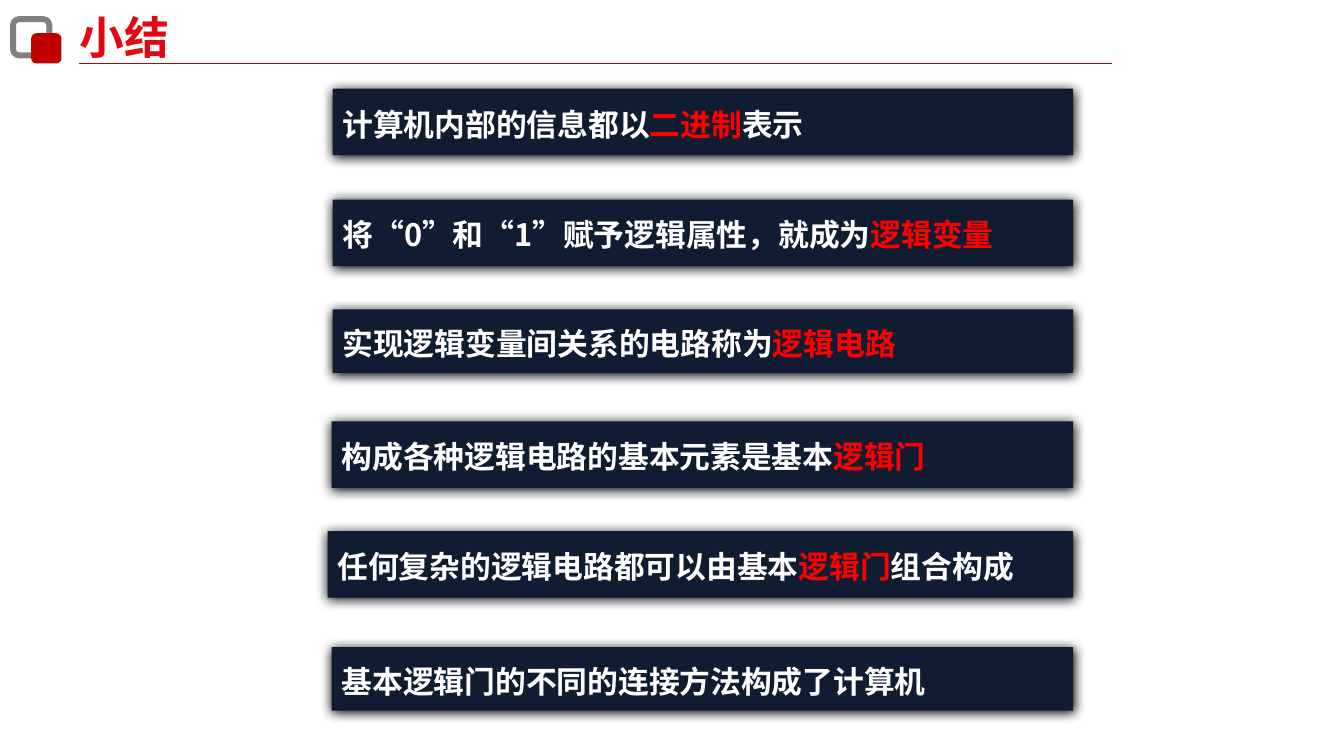
"""Build the summary slide on digital logic."""
import dataclasses

import lxml.etree
import pptx
import pptx.dml.color
import pptx.enum.lang
import pptx.enum.shapes
import pptx.enum.text
import pptx.oxml.ns
import pptx.util

COLUMNS, ROWS = 40, 30
COLUMN, ROW = pptx.util.Inches(13.333) / COLUMNS, pptx.util.Inches(7.5) / ROWS
BAR_RIGHT = 31.94


@dataclasses.dataclass(frozen=True)
class Theme:
    """Colours, typeface and sizes of the slide."""
    font: str = "Noto Sans CJK SC"
    title_size: float = 32
    bar_size: float = 22
    title_top: str = "E30613"
    title_bottom: str = "81040B"
    accent: str = "C00000"
    outline: str = "808080"
    bar: str = "101C32"
    text: str = "FFFFFF"
    keyword: str = "FF0000"
    shadow: str = "000000"


THEME = Theme()

BARS = [
    (9.9, 3.52, 2.64, [("计算机内部的信息都以", THEME.text), ("二进制", THEME.keyword), ("表示", THEME.text)]),
    (9.9, 7.92, 2.64, [("将“0”和“1”赋予逻辑属性，就成为", THEME.text), ("逻辑变量", THEME.keyword)]),
    (9.9, 12.28, 2.52, [("实现逻辑变量间关系的电路称为", THEME.text), ("逻辑电路", THEME.keyword)]),
    (9.87, 16.72, 2.64, [("构成各种逻辑电路的基本元素是基本", THEME.text), ("逻辑门", THEME.keyword)]),
    (9.75, 21.08, 2.64, [("任何复杂的逻辑电路都可以由基本", THEME.text), ("逻辑门", THEME.keyword), ("组合构成", THEME.text)]),
    (9.87, 25.68, 2.52, [("基本逻辑门的不同的连接方法构成了计算机", THEME.text)]),
]


def rgb(value):
    """Return the colour for a hexadecimal value."""
    return pptx.dml.color.RGBColor.from_string(value)


def cells(left, top, width, height):
    """Convert grid columns and rows to slide lengths."""
    return round(left * COLUMN), round(top * ROW), round(width * COLUMN), round(height * ROW)


def add_effects(shape, blur=None, distance=None):
    """Give a shape an effect list, with a downward shadow if blur is set."""
    effects = lxml.etree.SubElement(shape._element.spPr, pptx.oxml.ns.qn("a:effectLst"))
    if blur is not None:
        shadow = lxml.etree.SubElement(
            effects, pptx.oxml.ns.qn("a:outerShdw"), blurRad=str(pptx.util.Pt(blur)),
            dist=str(pptx.util.Pt(distance)), dir=str(90 * 60000), algn="ctr", rotWithShape="0")
        lxml.etree.SubElement(shadow, pptx.oxml.ns.qn("a:srgbClr"), val=THEME.shadow)


def add_span(para, text, size, color=None, gradient=None):
    """Add bold text with a plain colour or a vertical gradient."""
    span = para.add_run()
    span.text = text
    font = span.font
    font.size, font.bold, font.name = pptx.util.Pt(size), True, THEME.font
    font.language_id = pptx.enum.lang.MSO_LANGUAGE_ID.SIMPLIFIED_CHINESE
    if gradient:
        font.fill.gradient()
        font.fill.gradient_angle = 270
        for stop, value in zip(font.fill.gradient_stops, gradient):
            stop.color.rgb = rgb(value)
    else:
        font.color.rgb = rgb(color)
    lxml.etree.SubElement(font._element, pptx.oxml.ns.qn("a:ea"), typeface=THEME.font)


def add_block(shapes, kind, place, fill=None, line=None, weight=0):
    """Add a preset shape with the given fill and line."""
    block = shapes.add_shape(kind, *cells(*place))
    if fill:
        block.fill.solid()
        block.fill.fore_color.rgb = rgb(fill)
    else:
        block.fill.background()
    if line:
        block.line.color.rgb = rgb(line)
        block.line.width = pptx.util.Pt(weight)
    else:
        block.line.fill.background()
    return block


def add_icon(page):
    """Add the two overlapping rounded squares beside the title."""
    icon = page.shapes.add_group_shape()
    rounded = pptx.enum.shapes.MSO_SHAPE.ROUNDED_RECTANGLE
    for block in (
        add_block(icon.shapes, rounded, (0.39, 0.76, 1.08, 1.44), line=THEME.outline, weight=4.25),
        add_block(icon.shapes, rounded, (0.93, 1.32, 0.9, 1.2), fill=THEME.accent),
    ):
        block.shadow.inherit = False


def add_title(page, text):
    """Add the title and the rule under it."""
    left, top, width, height = cells(2.34, 2.52, 30.75, 0)
    rule = page.shapes.add_connector(
        pptx.enum.shapes.MSO_CONNECTOR.STRAIGHT, left, top, left + width, top + height)
    rule.line.color.rgb = rgb(THEME.accent)
    rule.line.width = pptx.util.Pt(0.5)
    add_effects(rule)
    box = page.shapes.add_textbox(*cells(2.07, 0.2, 3.3, 2.56))
    box.text_frame.word_wrap = False
    box.text_frame.auto_size = pptx.enum.text.MSO_AUTO_SIZE.SHAPE_TO_FIT_TEXT
    add_span(box.text_frame.paragraphs[0], text, THEME.title_size,
             gradient=(THEME.title_top, THEME.title_bottom))


def add_bar(page, left, top, height, spans):
    """Add one shadowed bar with its statement."""
    bar = add_block(page.shapes, pptx.enum.shapes.MSO_SHAPE.RECTANGLE,
                    (left, top, BAR_RIGHT - left, height), fill=THEME.bar)
    add_effects(bar, blur=8.5, distance=1)
    frame = bar.text_frame
    frame.word_wrap = True
    frame.vertical_anchor = pptx.enum.text.MSO_ANCHOR.MIDDLE
    frame.margin_left = frame.margin_right = pptx.util.Inches(0.1)
    frame.margin_top = frame.margin_bottom = pptx.util.Inches(0.04)
    para = frame.paragraphs[0]
    para.alignment = pptx.enum.text.PP_ALIGN.LEFT
    para.line_spacing = 1.1
    for text, color in spans:
        add_span(para, text, THEME.bar_size, color=color)


def main():
    """Build and save the deck."""
    deck = pptx.Presentation()
    deck.slide_width, deck.slide_height = round(COLUMNS * COLUMN), round(ROWS * ROW)
    page = deck.slides.add_slide(deck.slide_layouts[6])
    add_icon(page)
    add_title(page, "小结")
    for bar in BARS:
        add_bar(page, *bar)
    deck.save("out.pptx")


if __name__ == "__main__":
    main()
